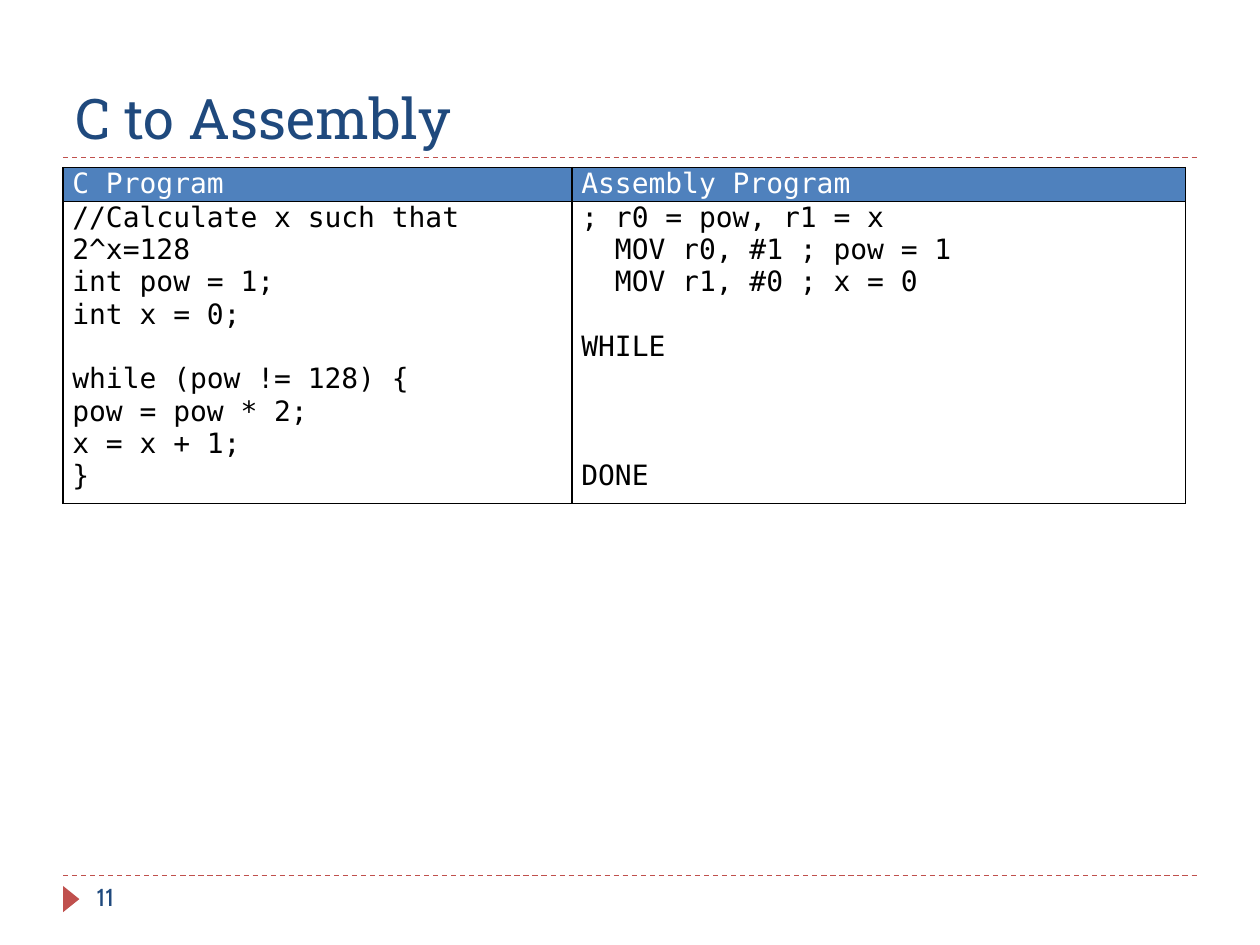
from dataclasses import dataclass

import pptx
import pptx.dml.color
import pptx.enum.dml
import pptx.enum.shapes
import pptx.enum.text
import pptx.oxml
import pptx.oxml.ns
import pptx.util
from pptx.util import Cm

NAVY, RED, BLUE, WHITE, BLACK = "1F497D", "C0504D", "4F81BD", "FFFFFF", "000000"
CODE_FONT, CODE_SIZE = "DejaVu Sans Mono", 16
LEFT, RIGHT = 1.27, 24.13
HEADER_HEIGHT, BODY_HEIGHT = 0.65, 5.87
ALIGN = pptx.enum.text.PP_ALIGN
ANCHOR = pptx.enum.text.MSO_ANCHOR


@dataclass
class Label:
    text: str
    left: float
    top: float
    width: float
    height: float
    font: str
    size: int
    anchor: ANCHOR


@dataclass
class Listing:
    heading: str
    width: float
    align: ALIGN
    code: str


RULE_HEIGHTS = (17.65, 3.18)
LABELS = (
    Label("C to Assembly", LEFT, 0.43, 22.86, 2.74, "Roboto Slab", 32, ANCHOR.BOTTOM),
    Label("11", 1.7, 17.65, 5.51, 1.02, "Cabin", 14, ANCHOR.TOP),
)
LISTINGS = (
    Listing("C Program", 10.26, ALIGN.LEFT, """\
//Calculate x such that 2^x=128
int pow = 1;
int x = 0;

while (pow != 128) {
pow = pow * 2;
x = x + 1;
}"""),
    Listing("Assembly Program", 12.37, ALIGN.JUSTIFY, """\
; r0 = pow, r1 = x
  MOV r0, #1 ; pow = 1
  MOV r1, #0 ; x = 0

WHILE



DONE"""),
)


def rgb(value: str) -> pptx.dml.color.RGBColor:
    return pptx.dml.color.RGBColor.from_string(value)


def add_run(paragraph, text: str, font: str, size: int, color: str) -> None:
    run = paragraph.add_run()
    run.text = text
    run.font.name = font
    run.font.size = pptx.util.Pt(size)
    run.font.color.rgb = rgb(color)


def add_rule(slide, height: float) -> None:
    rule = slide.shapes.add_connector(
        pptx.enum.shapes.MSO_CONNECTOR.STRAIGHT,
        Cm(LEFT), Cm(height), Cm(RIGHT), Cm(height))
    rule.line.color.rgb = rgb(RED)
    rule.line.width = pptx.util.Pt(0.75)
    rule.line.dash_style = pptx.enum.dml.MSO_LINE.DASH
    rule._element.spPr.append(pptx.oxml.parse_xml(
        f"<a:effectLst {pptx.oxml.ns.nsdecls('a')}/>"))


def add_page_marker(slide) -> None:
    marker = slide.shapes.add_shape(
        pptx.enum.shapes.MSO_SHAPE.ISOSCELES_TRIANGLE,
        Cm(1.17), Cm(17.96), Cm(0.53), Cm(0.33))
    marker.rotation = 90
    marker.shadow.inherit = False
    marker.fill.solid()
    marker.fill.fore_color.rgb = rgb(RED)
    marker.line.fill.background()


def add_label(slide, label: Label) -> None:
    box = slide.shapes.add_textbox(
        Cm(label.left), Cm(label.top), Cm(label.width), Cm(label.height))
    frame = box.text_frame
    frame.word_wrap = True
    frame.vertical_anchor = label.anchor
    add_run(frame.paragraphs[0], label.text, label.font, label.size, NAVY)


def add_borders(cell) -> None:
    properties = cell._tc.get_or_add_tcPr()
    for side in ("lnL", "lnR", "lnT", "lnB"):
        properties.append(pptx.oxml.parse_xml(
            f'<a:{side} {pptx.oxml.ns.nsdecls("a")} w="12700">'
            f'<a:solidFill><a:srgbClr val="{BLACK}"/></a:solidFill></a:{side}>'))


def write_cell(cell, text: str, color: str, align: ALIGN) -> None:
    """Write one paragraph per line of text, keeping the code's empty lines."""
    cell.margin_left = cell.margin_right = Cm(0.19)
    cell.margin_top = cell.margin_bottom = 0
    frame = cell.text_frame
    for number, line in enumerate(text.split("\n")):
        paragraph = frame.add_paragraph() if number else frame.paragraphs[0]
        paragraph.alignment = align
        if line:
            add_run(paragraph, line, CODE_FONT, CODE_SIZE, color)
        else:
            paragraph._p.append(pptx.oxml.parse_xml(
                f'<a:endParaRPr {pptx.oxml.ns.nsdecls("a")} sz="{CODE_SIZE * 100}">'
                f'<a:latin typeface="{CODE_FONT}"/></a:endParaRPr>'))
    add_borders(cell)


def add_listings(slide) -> None:
    table = slide.shapes.add_table(
        2, len(LISTINGS), Cm(LEFT), Cm(3.38),
        Cm(sum(listing.width for listing in LISTINGS)),
        Cm(HEADER_HEIGHT + BODY_HEIGHT)).table
    table.first_row = table.horz_banding = False
    table.rows[0].height = Cm(HEADER_HEIGHT)
    table.rows[1].height = Cm(BODY_HEIGHT)
    for column, listing in enumerate(LISTINGS):
        table.columns[column].width = Cm(listing.width)
        heading, body = table.cell(0, column), table.cell(1, column)
        write_cell(heading, listing.heading, WHITE, ALIGN.JUSTIFY)
        heading.fill.solid()
        heading.fill.fore_color.rgb = rgb(BLUE)
        write_cell(body, listing.code, BLACK, listing.align)
        body.fill.background()


def main() -> None:
    deck = pptx.Presentation()
    deck.slide_width, deck.slide_height = Cm(25.4), Cm(19.05)
    slide = deck.slides.add_slide(deck.slide_layouts[6])
    for height in RULE_HEIGHTS:
        add_rule(slide, height)
    add_page_marker(slide)
    for label in LABELS:
        add_label(slide, label)
    add_listings(slide)
    deck.save("out.pptx")


if __name__ == "__main__":
    main()
